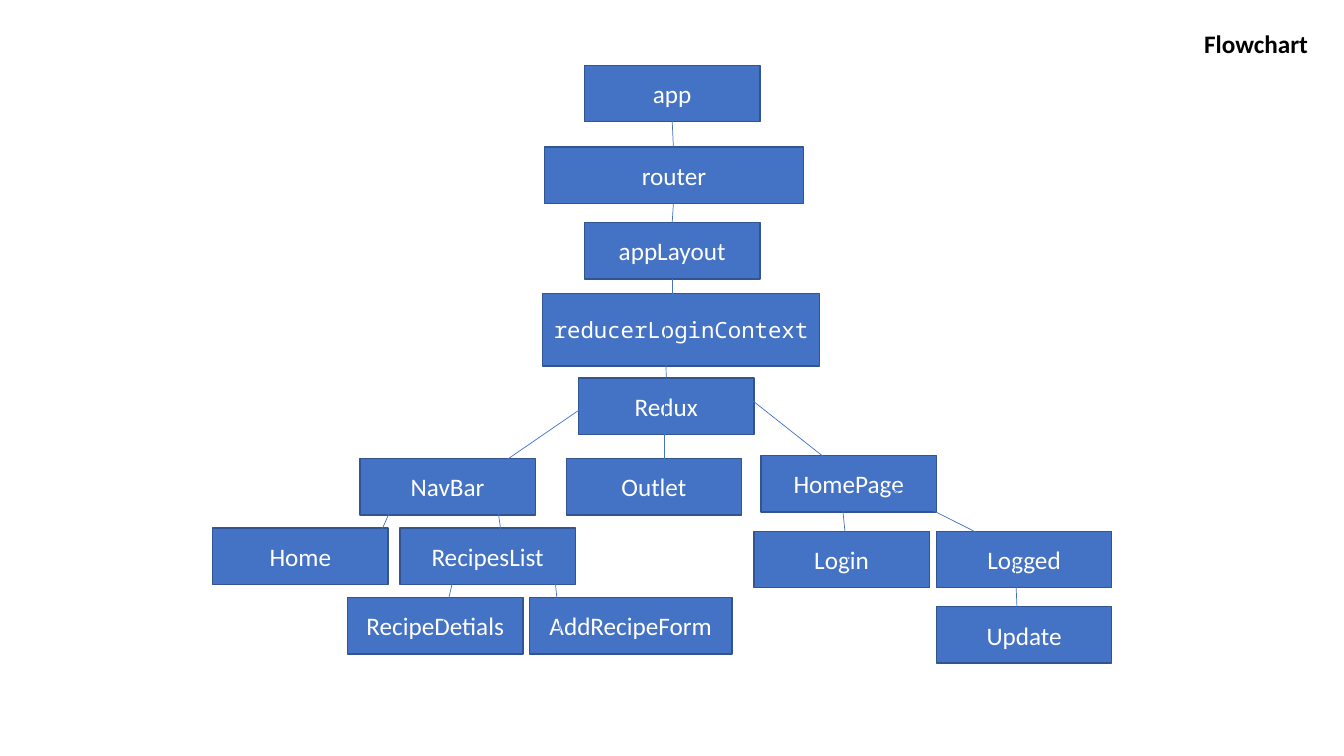
from pptx import Presentation, util as u
from pptx.dml.color import RGBColor
from pptx.enum import shapes, text
from pptx.oxml.ns import qn
from lxml import etree

HUES = {"fill": "4472C4", "edge": "325491", "label": "FFFFFF", "title": "000000"}
WIDE, HIGH = 4.42, 1.42  # usual box size in cm


def hue(name):
    return RGBColor.from_string(HUES[name])


def style(par, size, face, tint, align):
    par.alignment = align
    par.font.size = u.Pt(size)
    par.font.name = face
    par.font.color.rgb = hue(tint)


deck = Presentation()
deck.slide_width, deck.slide_height = u.Cm(33.87), u.Cm(19.05)
slide = deck.slides.add_slide(deck.slide_layouts[5])

# Title
title = slide.shapes.title
title.left, title.top = u.Cm(27.66), u.Cm(0.58)
title.width, title.height = u.Cm(5.56), u.Cm(1.02)
title.text = "Flowchart"
title.text_frame.vertical_anchor = text.MSO_ANCHOR.TOP
head = title.text_frame.paragraphs[0]
style(head, 18, "Calibri", "title", text.PP_ALIGN.RIGHT)
head.font.bold = True
head.line_spacing = 1.0

# Boxes: label, left, top, width, height
boxes = [
    ("app", 14.73, 1.65, WIDE, HIGH),
    ("router", 13.72, 3.71, 6.53, HIGH),
    ("appLayout", 14.73, 5.61, WIDE, HIGH),
    ("reducerLoginContext", 13.67, 7.39, 6.99, 1.83),
    ("Redux", 14.58, 9.53, WIDE, HIGH),
    ("NavBar", 9.07, 11.56, WIDE, HIGH),
    ("Outlet", 14.27, 11.56, WIDE, HIGH),
    ("HomePage", 19.18, 11.48, WIDE, HIGH),
    ("Home", 5.36, 13.31, WIDE, HIGH),
    ("RecipesList", 10.08, 13.31, WIDE, HIGH),
    ("Login", 19.0, 13.39, WIDE, HIGH),
    ("Logged", 23.6, 13.39, WIDE, HIGH),
    ("RecipeDetials", 8.76, 15.06, WIDE, HIGH),
    ("AddRecipeForm", 13.34, 15.06, 5.11, HIGH),
    ("Update", 23.6, 15.29, WIDE, HIGH),
]
for label, *place in boxes:
    box = slide.shapes.add_shape(shapes.MSO_SHAPE.RECTANGLE, *map(u.Cm, place))
    box.shadow.inherit = False
    box.fill.solid()
    box.fill.fore_color.rgb = hue("fill")
    box.line.color.rgb = hue("edge")
    box.line.width = u.Pt(1)
    frame = box.text_frame
    frame.text = label
    frame.word_wrap = False
    frame.vertical_anchor = text.MSO_ANCHOR.MIDDLE
    code = label == "reducerLoginContext"
    size, face = (16, "Noto Sans Mono") if code else (18, "Calibri")
    style(frame.paragraphs[0], size, face, "label", text.PP_ALIGN.CENTER)

# Links: start x, start y, end x, end y
links = [
    (16.94, 3.05, 16.97, 3.71),    # app to router
    (16.97, 5.13, 16.94, 5.61),    # router to appLayout
    (16.94, 7.04, 16.94, 8.05),    # appLayout to reducerLoginContext
    (16.76, 7.9, 16.79, 9.53),     # reducerLoginContext to Redux
    (14.96, 10.08, 11.89, 12.19),  # Redux to NavBar
    (16.74, 10.08, 16.74, 12.57),  # Redux to Outlet
    (18.44, 9.68, 20.78, 11.53),   # Redux to HomePage
    (10.08, 12.32, 9.45, 13.74),   # NavBar to Home
    (12.47, 12.29, 12.67, 13.72),  # NavBar to RecipesList
    (21.21, 12.57, 21.39, 14.33),  # HomePage to Login
    (22.33, 12.27, 25.81, 14.02),  # HomePage to Logged
    (11.61, 13.77, 11.15, 15.77),  # RecipesList to RecipeDetials
    (13.94, 14.15, 14.12, 15.9),   # RecipesList to AddRecipeForm
    (25.58, 14.12, 25.65, 15.82),  # Logged to Update
]
for ends in links:
    link = slide.shapes.add_connector(shapes.MSO_CONNECTOR.STRAIGHT, *map(u.Cm, ends))
    link.line.color.rgb = hue("fill")
    link.line.width = u.Pt(0.5)
    etree.SubElement(link._element.spPr, qn("a:effectLst"))

deck.save("out.pptx")
